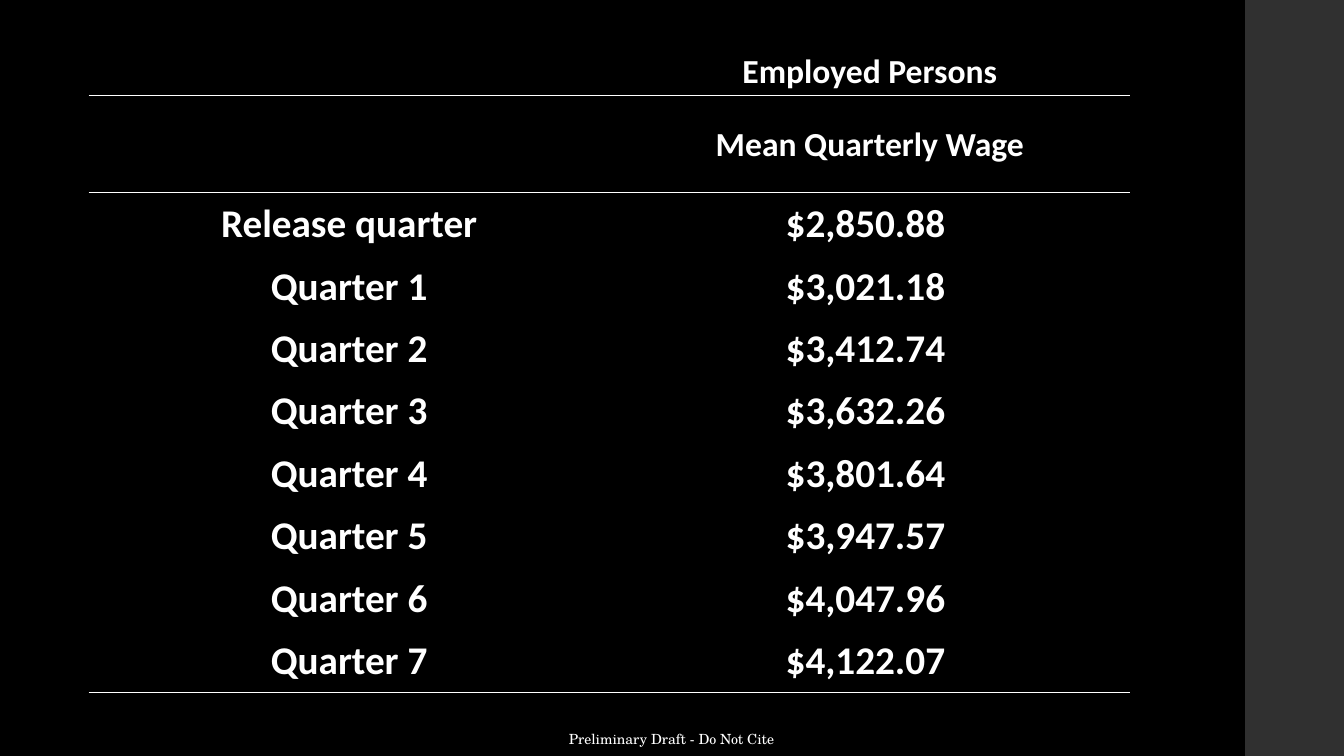
import pptx
import pptx.util
import pptx.dml.color
import pptx.enum.shapes
import pptx.enum.text
import pptx.oxml
import pptx.oxml.ns

Inches, Pt = pptx.util.Inches, pptx.util.Pt
CENTER = pptx.enum.text.PP_ALIGN.CENTER

COLORS = {"background": "000000", "side_band": "303030", "text": "FFFFFF", "rule": "FFFFFF"}
HEADINGS = ["Employed Persons", "Mean Quarterly Wage"]
# The space after each wage is part of the centred text.
WAGES = [
    ("Release quarter", "$2,850.88 "),
    ("Quarter 1", "$3,021.18 "),
    ("Quarter 2", "$3,412.74 "),
    ("Quarter 3", "$3,632.26 "),
    ("Quarter 4", "$3,801.64 "),
    ("Quarter 5", "$3,947.57 "),
    ("Quarter 6", "$4,047.96 "),
    ("Quarter 7", "$4,122.07 "),
]
FOOTER = "Preliminary Draft - Do Not Cite"
NO_STYLE = "{2D5ABB26-0587-4C30-8999-92F81FD0307C}"

TABLE_LEFT, TABLE_TOP, TABLE_WIDTH = 0.88, 0.47, 10.33
ROW_HEIGHTS = [0.48, 0.96] + [0.62] * len(WAGES)


def rgb(name):
    return pptx.dml.color.RGBColor.from_string(COLORS[name])


def style_text(paragraph, font_name, size, bold):
    paragraph.alignment = CENTER
    paragraph.font.name = font_name
    paragraph.font.size = Pt(size)
    paragraph.font.bold = bold
    paragraph.font.color.rgb = rgb("text")


def set_borders(cell, ruled_sides):
    """Draw a thin rule on the named sides (T, B) and no line on the others."""
    properties = cell._tc.get_or_add_tcPr()
    for side in "LRTB":
        paint = "<a:noFill/>"
        if side in ruled_sides:
            paint = f'<a:solidFill><a:srgbClr val="{COLORS["rule"]}"/></a:solidFill>'
        properties.append(pptx.oxml.parse_xml(
            f'<a:ln{side} {pptx.oxml.ns.nsdecls("a")} w="{Pt(1)}">{paint}</a:ln{side}>'))


def add_wage_table(slide):
    rows = [("", heading) for heading in HEADINGS] + WAGES
    ruled_below = {0, len(HEADINGS) - 1, len(rows) - 1}
    table = slide.shapes.add_table(
        len(rows), 2, Inches(TABLE_LEFT), Inches(TABLE_TOP),
        Inches(TABLE_WIDTH), Inches(sum(ROW_HEIGHTS))).table
    table.first_row = table.horz_banding = False
    table._tbl.tblPr.find(pptx.oxml.ns.qn("a:tableStyleId")).text = NO_STYLE

    for row_index, (row, height) in enumerate(zip(rows, ROW_HEIGHTS)):
        table.rows[row_index].height = Inches(height)
        sides = ("T" if row_index - 1 in ruled_below else "") + (
            "B" if row_index in ruled_below else "")
        for column_index, wording in enumerate(row):
            cell = table.cell(row_index, column_index)
            cell.text = wording
            cell.margin_left = cell.margin_right = cell.margin_top = Inches(0.01)
            cell.margin_bottom = 0
            cell.vertical_anchor = pptx.enum.text.MSO_ANCHOR.MIDDLE
            size = 24 if row_index < len(HEADINGS) else 28
            style_text(cell.text_frame.paragraphs[0], "Calibri", size, True)
            set_borders(cell, sides)
            cell.fill.background()


def main():
    deck = pptx.Presentation()
    deck.slide_width, deck.slide_height = Inches(13.33), Inches(7.5)
    slide = deck.slides.add_slide(deck.slide_layouts[6])
    slide.background.fill.solid()
    slide.background.fill.fore_color.rgb = rgb("background")

    side_band = slide.shapes.add_shape(
        pptx.enum.shapes.MSO_SHAPE.RECTANGLE, Inches(12.35), 0, Inches(0.98), Inches(7.5))
    side_band.shadow.inherit = False
    side_band.fill.solid()
    side_band.fill.fore_color.rgb = rgb("side_band")
    side_band.line.fill.background()

    add_wage_table(slide)

    footer = slide.shapes.add_textbox(Inches(5.53), Inches(7.2), Inches(2.26), Inches(0.27))
    footer.text_frame.text = FOOTER
    footer.text_frame.word_wrap = False
    footer.text_frame.auto_size = pptx.enum.text.MSO_AUTO_SIZE.SHAPE_TO_FIT_TEXT
    style_text(footer.text_frame.paragraphs[0], "TeX Gyre Schola", 10, False)

    deck.save("out.pptx")


if __name__ == "__main__":
    main()
